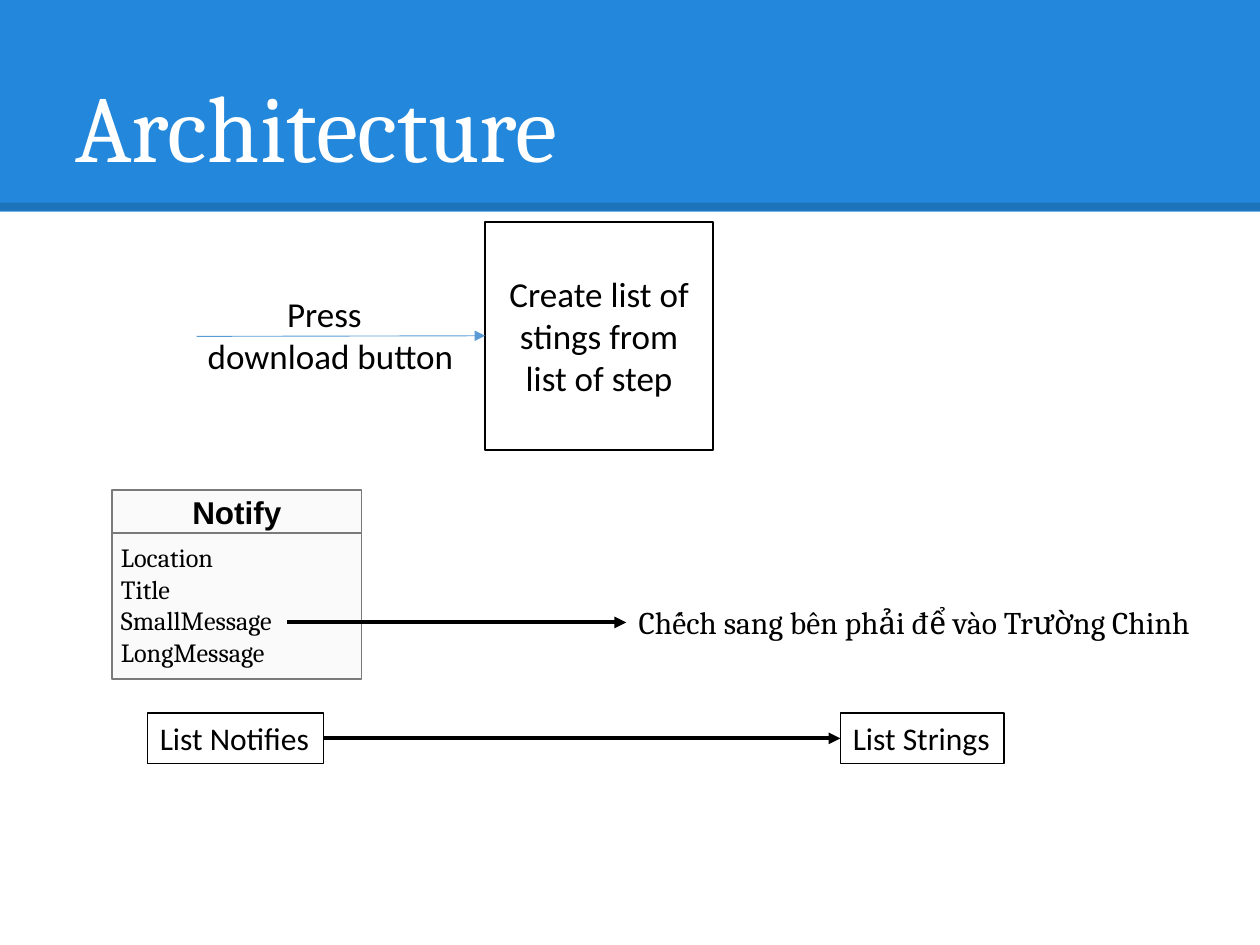
"""Build the Architecture slide: a download step and the notify-to-string mapping."""
import pptx
import pptx.dml.color
import pptx.enum.shapes
import pptx.enum.text
import pptx.oxml
import pptx.oxml.ns
import pptx.util

ALIGN = pptx.enum.text.PP_ALIGN
ANCHOR = pptx.enum.text.MSO_ANCHOR
SHAPES = pptx.enum.shapes.MSO_SHAPE

THEME = {
    "banner": "2388DB", "title": "FFFFFF", "ink": "000000", "card": "FAFAFA",
    "card_line": "7A7A7A", "flow": "5B9BD5",
    "serif": "Cambria", "sans": "Calibri", "label": "Arial",
    "title_size": 54, "step_size": 20, "body_size": 18, "field_size": 15,
    "rule": 4.5, "heavy": 2.25, "medium": 1, "thin": 0.75, "hair": 0.5,
}

TITLE = "Architecture"
TRIGGER = ["Press", "download button"]
STEP = "Create list of stings from list of step"
CARD_TITLE = "Notify"
FIELDS = ["Location", "Title", "SmallMessage", "LongMessage"]
EXAMPLE = "Chếch sang bên phải để vào Trường Chinh"
LISTS = [("List Notifies", 11.7, 14), ("List Strings", 66.7, 13)]

COLUMNS, ROWS = 100, 75
LIST_TOP, LIST_HEIGHT = 56.6, 4
CARD_LEFT, CARD_TOP, CARD_WIDTH = 8.9, 38.9, 19.8
CARD_HEADER, CARD_BODY = 3.4, 11.6
EXAMPLE_TOP, EXAMPLE_HEIGHT = 47.4, 4

presentation = pptx.Presentation()
presentation.slide_width = pptx.util.Inches(10)
presentation.slide_height = pptx.util.Inches(7.5)
slide = presentation.slides.add_slide(presentation.slide_layouts[6])


def place(*lengths):
    units = (presentation.slide_width / COLUMNS, presentation.slide_height / ROWS)
    return [round(length * units[index % 2]) for index, length in enumerate(lengths)]


def color(name):
    return pptx.dml.color.RGBColor.from_string(THEME[name])


def write(shape, lines, font, size, ink="ink", align=ALIGN.LEFT, anchor=ANCHOR.TOP,
          wrap=True, inset=None, bold=False):
    frame = shape.text_frame
    frame.word_wrap = wrap
    frame.vertical_anchor = anchor
    if inset is not None:
        frame.margin_left = frame.margin_right = pptx.util.Inches(inset)
        frame.margin_top = frame.margin_bottom = pptx.util.Inches(inset)
    frame.text = "\n".join(lines)
    for paragraph in frame.paragraphs:
        paragraph.alignment = align
        paragraph.font.name = THEME[font]
        paragraph.font.size = pptx.util.Pt(THEME[size])
        paragraph.font.bold = bold
        paragraph.font.color.rgb = color(ink)
    return frame


def add_box(box, fill=None, line=None, width="medium", parent=slide):
    shape = parent.shapes.add_shape(SHAPES.RECTANGLE, *place(*box))
    shape.shadow.inherit = False
    if fill:
        shape.fill.solid()
        shape.fill.fore_color.rgb = color(fill)
    else:
        shape.fill.background()
    if line:
        shape.line.color.rgb = color(line)
        shape.line.width = pptx.util.Pt(THEME[width])
    else:
        shape.line.fill.background()
    return shape


def add_text(box, lines, font, size, **options):
    shape = slide.shapes.add_textbox(*place(*box))
    return shape, write(shape, lines, font, size, **options)


def add_line(start, end, ink, width):
    straight = pptx.enum.shapes.MSO_CONNECTOR.STRAIGHT
    connector = slide.shapes.add_connector(straight, *place(*start, *end))
    connector.line.color.rgb = color(ink)
    connector.line.width = pptx.util.Pt(THEME[width])
    properties = connector._element.spPr
    properties.append(pptx.oxml.parse_xml(
        f"<a:effectLst {pptx.oxml.ns.nsdecls('a')}/>"))
    return connector


def add_arrow(start, target, ink, width, source=None):
    connector = add_line(start, start, ink, width)
    if source is not None:
        connector.begin_connect(source, 3)
    connector.end_connect(target, 1)
    connector.line._get_or_add_ln().append(pptx.oxml.parse_xml(
        f"<a:tailEnd {pptx.oxml.ns.nsdecls('a')} type='triangle'/>"))


add_box((0, 0, COLUMNS, 16.8), fill="banner")
rule = add_line((0, 16.4), (COLUMNS, 16.4), "ink", "rule")
rule_color = rule.line._get_or_add_ln().find(".//" + pptx.oxml.ns.qn("a:srgbClr"))
rule_color.append(pptx.oxml.parse_xml(
    f"<a:alpha {pptx.oxml.ns.nsdecls('a')} val='15000'/>"))

_, title_frame = add_text((5, 3, 90, 12.5), [TITLE], "serif", "title_size",
                          ink="title", anchor=ANCHOR.BOTTOM, inset=0.1)
title_frame.paragraphs[0].line_spacing = 0.9

card = slide.shapes.add_group_shape()
body = add_box((CARD_LEFT, CARD_TOP + CARD_HEADER, CARD_WIDTH, CARD_BODY),
               "card", "card_line", parent=card)
write(body, FIELDS, "serif", "field_size", inset=0.07)
header = add_box((CARD_LEFT, CARD_TOP, CARD_WIDTH, CARD_HEADER),
                 "card", "card_line", parent=card)
write(header, [CARD_TITLE], "label", "body_size", align=ALIGN.CENTER,
      anchor=ANCHOR.MIDDLE, inset=0.07, bold=True)

step = add_box((38.5, 17.6, 18.1, 18.1), line="ink")
write(step, [STEP], "sans", "step_size", align=ALIGN.CENTER, anchor=ANCHOR.MIDDLE)
add_arrow((15.6, 26.7), step, "flow", "hair")

_, trigger_frame = add_text((15.5, 22.7, 21.7, 7.7), TRIGGER, "sans", "step_size",
                            wrap=False)
trigger_indent = pptx.util.Inches(0.63)
trigger_frame.paragraphs[0]._p.get_or_add_pPr().set("marL", str(trigger_indent))

example, _ = add_text((49.7, EXAMPLE_TOP, 47, EXAMPLE_HEIGHT), [EXAMPLE],
                      "serif", "body_size", wrap=False)
add_arrow((22.8, EXAMPLE_TOP + EXAMPLE_HEIGHT / 2), example, "ink", "heavy")

list_boxes = []
for label, left, width in LISTS:
    list_box = add_box((left, LIST_TOP, width, LIST_HEIGHT), line="ink", width="thin")
    write(list_box, [label], "sans", "body_size", wrap=False)
    list_boxes.append(list_box)
notifies, strings = list_boxes
add_arrow((0, 0), strings, "ink", "heavy", source=notifies)

presentation.save("out.pptx")
